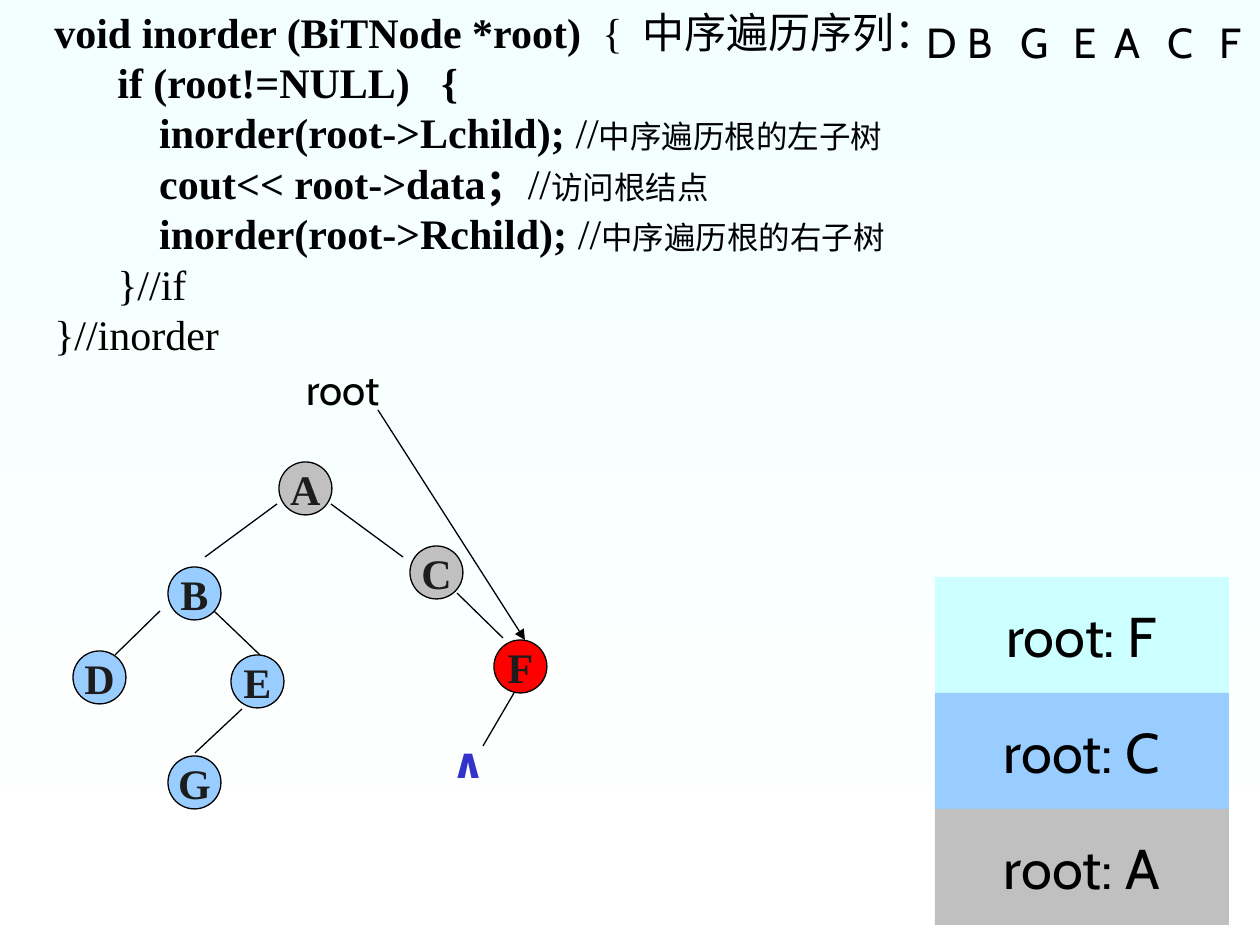
import pptx
import pptx.dml.color
import pptx.enum.shapes
import pptx.enum.text
import pptx.oxml
import pptx.oxml.ns
import pptx.util

RGBColor = pptx.dml.color.RGBColor
MSO_SHAPE = pptx.enum.shapes.MSO_SHAPE
PP_ALIGN = pptx.enum.text.PP_ALIGN

PX_PER_INCH = 126
EMU_PER_PX = 914400 / PX_PER_INCH

BLACK = RGBColor(0x00, 0x00, 0x00)
CHARCOAL = RGBColor(0x1C, 0x1C, 0x1C)
WHITE = RGBColor(0xFF, 0xFF, 0xFF)
PALE_CYAN = RGBColor(0xF3, 0xFF, 0xFF)
CYAN = RGBColor(0xCC, 0xFF, 0xFF)
BLUE = RGBColor(0x99, 0xCC, 0xFF)
GRAY = RGBColor(0xC0, 0xC0, 0xC0)
RED = RGBColor(0xFF, 0x00, 0x00)
INDIGO = RGBColor(0x33, 0x33, 0xCC)

SERIF = "Times New Roman"
SANS = "Cabin"

# Each code line is a list of (text, size, bold)
CODE = [
    [("    void inorder (BiTNode *root)  ", 24, True), ("{", 24, False)],
    [("          ", 24, False), ("if (root!=NULL)   {", 24, True)],
    [("              inorder(root->Lchild);", 24, True), (" //", 24, False),
     ("中序遍历根的左子树", 18, False)],
    [("              cout<< root->data；", 24, True), ("//", 24, False),
     ("访问根结点", 18, False)],
    [("              inorder(root->Rchild); ", 24, True), ("//", 24, False),
     ("中序遍历根的右子树", 18, False)],
    [("          ", 24, True), ("}//if", 24, False)],
    [("    }//inorder", 24, False)],
]

EDGES = [
    (277, 504, 205, 557),
    (331, 504, 403, 557),
    (214, 611, 260, 655),
    (242, 709, 195, 753),
    (160, 611, 115, 655),
    (457, 593, 503, 638),
    (514, 693, 483, 746),
]

NODE_SIZE = 53
NODES = [
    ("B", 168, 567, BLUE),
    ("A", 279, 462, GRAY),
    ("C", 410, 546, GRAY),
    ("E", 231, 655, BLUE),
    ("D", 73, 651, BLUE),
    ("G", 168, 756, BLUE),
    ("F", 494, 640, RED),
]

VISITED = zip("DBGEACF", (914, 955, 1008, 1061, 1102, 1155, 1207))

STACK_TOP = 577
FRAME_HEIGHT = 116
STACK = [("root: F", CYAN), ("root: C", BLUE), ("root: A", GRAY)]


def px(length):
    return pptx.util.Emu(round(length * EMU_PER_PX))


class SlideBuilder:
    def __init__(self, slide):
        self.slide = slide
        self.line_width = pptx.util.Pt(0.75)

    def background(self, top_color, bottom_color):
        fill = self.slide.background.fill
        fill.gradient()
        fill.gradient_angle = 270
        for stop, color in zip(fill.gradient_stops, (top_color, bottom_color)):
            stop.color.rgb = color

    def run(self, paragraph, text, size, font, color, bold=False):
        run = paragraph.add_run()
        run.text = text
        run.font.size = pptx.util.Pt(size)
        run.font.name = font
        run.font.bold = bold
        run.font.color.rgb = color

    def text_box(self, left, top, width, height, inset=True):
        box = self.slide.shapes.add_textbox(px(left), px(top), px(width), px(height))
        frame = box.text_frame
        frame.word_wrap = True
        frame.auto_size = pptx.enum.text.MSO_AUTO_SIZE.SHAPE_TO_FIT_TEXT
        if not inset:
            frame.margin_left = frame.margin_right = 0
            frame.margin_top = frame.margin_bottom = 0
        return frame

    def label(self, text, left, top, width, height=63, color=BLACK, bold=False, inset=True):
        frame = self.text_box(left, top, width, height, inset)
        self.run(frame.paragraphs[0], text, 24, SANS, color, bold)

    def code(self, lines, left, top, width, height):
        frame = self.text_box(left, top, width, height)
        for index, line in enumerate(lines):
            paragraph = frame.paragraphs[0] if index == 0 else frame.add_paragraph()
            paragraph.line_spacing = pptx.util.Pt(28.8)
            properties = paragraph._p.get_or_add_pPr()
            properties.set("marL", str(px(63)))
            properties.set("indent", str(-px(63)))
            for text, size, bold in line:
                self.run(paragraph, text, size, SERIF, BLACK, bold)

    def block(self, kind, text, left, top, width, height, fill, size, font, color,
              bold=False, outline=False):
        shape = self.slide.shapes.add_shape(kind, px(left), px(top), px(width), px(height))
        shape.shadow.inherit = False
        shape.fill.solid()
        shape.fill.fore_color.rgb = fill
        if outline:
            shape.line.color.rgb = BLACK
            shape.line.width = self.line_width
        else:
            shape.line.fill.background()
        frame = shape.text_frame
        frame.word_wrap = False
        frame.vertical_anchor = pptx.enum.text.MSO_ANCHOR.MIDDLE
        paragraph = frame.paragraphs[0]
        paragraph.alignment = PP_ALIGN.CENTER
        self.run(paragraph, text, size, font, color, bold)

    def node(self, text, left, top, fill):
        self.block(MSO_SHAPE.OVAL, text, left, top, NODE_SIZE, NODE_SIZE, fill,
                   24, SERIF, CHARCOAL, bold=True, outline=True)

    def stack_frame(self, text, top, fill):
        self.block(MSO_SHAPE.RECTANGLE, text, 935, top, 294, FRAME_HEIGHT, fill,
                   32, SANS, BLACK)

    def line(self, x1, y1, x2, y2, arrow=False):
        connector = self.slide.shapes.add_connector(
            pptx.enum.shapes.MSO_CONNECTOR.STRAIGHT, px(x1), px(y1), px(x2), px(y2))
        connector.line.color.rgb = BLACK
        connector.line.width = self.line_width
        properties = connector._element.spPr
        if arrow:
            tail = pptx.oxml.ns.qn("a:tailEnd")
            head = properties.find(pptx.oxml.ns.qn("a:ln")).makeelement(tail, {"type": "triangle"})
            properties.find(pptx.oxml.ns.qn("a:ln")).append(head)
        properties.append(properties.makeelement(pptx.oxml.ns.qn("a:effectLst"), {}))


def main():
    presentation = pptx.Presentation()
    presentation.slide_width = pptx.util.Inches(10)
    presentation.slide_height = pptx.util.Inches(7.5)
    builder = SlideBuilder(presentation.slides.add_slide(presentation.slide_layouts[6]))
    builder.background(PALE_CYAN, WHITE)

    # Traversal function
    builder.code(CODE, 0, 0, 955, 416)

    # Binary tree
    for edge in EDGES:
        builder.line(*edge)
    for node in NODES:
        builder.node(*node)
    builder.label("∧", 451, 737, 42, 50, color=INDIGO, bold=True, inset=False)

    # Pointer to the current root
    builder.label("root", 294, 357, 126)
    builder.line(378, 410, 525, 640, arrow=True)

    # Visited sequence
    builder.label("中序遍历序列：", 630, 0, 367)
    for letter, left in VISITED:
        builder.label(letter, left, 10, 53)

    # Call stack
    for index, (text, fill) in enumerate(STACK):
        builder.stack_frame(text, STACK_TOP + index * FRAME_HEIGHT, fill)

    presentation.save("out.pptx")


if __name__ == "__main__":
    main()
